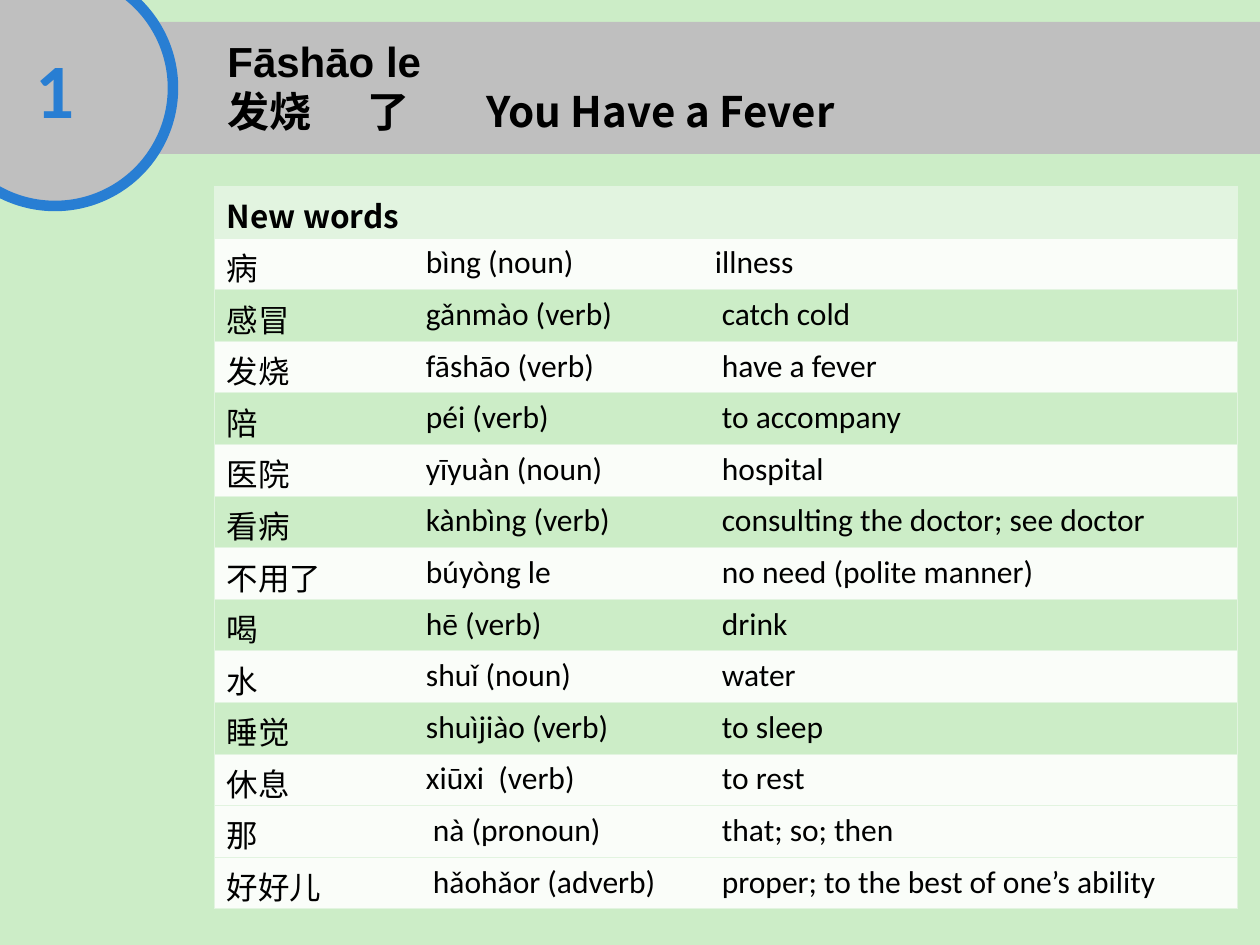
from lxml.etree import SubElement
from pptx import Presentation
from pptx.dml.color import RGBColor
from pptx.enum.shapes import MSO_SHAPE
from pptx.enum.text import MSO_ANCHOR, PP_ALIGN
from pptx.oxml.ns import qn
from pptx.util import Pt

PX = 914400 // 126
NO_GRID_STYLE = "{2D5ABB26-0587-4C30-8999-92F81FD0307C}"
COLORS = {
    "page": "CCEDC7",
    "band": "BFBFBF",
    "ring": "287ED3",
    "header": "E2F4E0",
    "light": "FAFDF9",
    "text": "000000",
}
HAN_FONT = "Noto Sans CJK SC"
BODY_FONT = "Calibri"
SPACE = 7  # width of one space in the table text

# Word, spaces before the pinyin, pinyin, spaces before the meaning, meaning
WORDS = [
    ("病", 1, "bìng (noun)", 0, "illness"),
    ("感冒", 1, "gǎnmào (verb)", 1, "catch cold"),
    ("发烧", 1, "fāshāo (verb)", 1, "have a fever"),
    ("陪", 1, "péi (verb)", 1, "to accompany"),
    ("医院", 1, "yīyuàn (noun)", 1, "hospital"),
    ("看病", 1, "kànbìng (verb)", 1, "consulting the doctor; see doctor"),
    ("不用了", 1, "búyòng le", 1, "no need (polite manner)"),
    ("喝", 1, "hē (verb)", 1, "drink"),
    ("水", 1, "shuǐ (noun)", 1, "water"),
    ("睡觉", 1, "shuìjiào (verb)", 1, "to sleep"),
    ("休息", 1, "xiūxi  (verb)", 1, "to rest"),
    ("那", 2, "nà (pronoun)", 1, "that; so; then"),
    ("好好儿", 2, "hǎohǎor (adverb)", 1, "proper; to the best of one’s ability"),
]
LAST_BANDED_ROW = 10


def rgb(name):
    return RGBColor.from_string(COLORS[name])


class LessonSlide:
    def __init__(self, deck):
        self.page = deck.slides.add_slide(deck.slide_layouts[6])
        self.page.background.fill.solid()
        self.page.background.fill.fore_color.rgb = rgb("page")

    def style(self, para, size, font, bold=False, color="text"):
        for span in para.runs:
            span.font.size = Pt(size)
            span.font.name = font
            span.font.bold = bold
            span.font.color.rgb = rgb(color)
            if font == HAN_FONT:
                properties = span.font._element
                SubElement(properties, qn("a:ea"), typeface=font)

    def shape(self, kind, bounds, fill, line=None, line_width=0):
        shape = self.page.shapes.add_shape(kind, *[n * PX for n in bounds])
        shape.shadow.inherit = False
        shape.fill.solid()
        shape.fill.fore_color.rgb = rgb(fill)
        if line:
            shape.line.color.rgb = rgb(line)
            shape.line.width = Pt(line_width)
        else:
            shape.line.fill.background()
        return shape

    def number(self, shape, text):
        shape.text_frame.text = text
        shape.text_frame.vertical_anchor = MSO_ANCHOR.MIDDLE
        para = shape.text_frame.paragraphs[0]
        para.alignment = PP_ALIGN.CENTER
        self.style(para, 44, BODY_FONT, True, "ring")

    def title(self, bounds, lines, tab_stops):
        box = self.page.shapes.add_textbox(*[n * PX for n in bounds])
        frame = box.text_frame
        frame.word_wrap = True
        frame.text = "\n".join(text for text, font in lines)
        for para, (text, font) in zip(frame.paragraphs, lines):
            tabs = SubElement(para._p.get_or_add_pPr(), qn("a:tabLst"))
            for stop in tab_stops:
                SubElement(tabs, qn("a:tab"), pos=str(stop * PX), algn="l")
            self.style(para, 24, font, True)

    def table(self, bounds, widths, header_height, row_count):
        left, top, width, height = [n * PX for n in bounds]
        frame = self.page.shapes.add_table(row_count, len(widths), left, top, width, height)
        table = frame.table
        table.first_row = table.horz_banding = False
        table._tbl.tblPr.find(qn("a:tableStyleId")).text = NO_GRID_STYLE
        for column, column_width in zip(table.columns, widths):
            column.width = column_width * PX
        body_height = (height - header_height * PX) // (row_count - 1)
        for index, row in enumerate(table.rows):
            row.height = body_height if index else header_height * PX
        return table

    def cell(self, cell, text, fill, sides, indent=0, font=BODY_FONT, bold=False):
        cell.margin_left = (13 + indent) * PX
        cell.margin_top = 6 * PX
        cell.margin_bottom = 0
        for side in sides:
            line = SubElement(cell._tc.get_or_add_tcPr(), qn("a:ln" + side), w=str(Pt(0.45)))
            color = SubElement(SubElement(line, qn("a:solidFill")), qn("a:srgbClr"))
            color.set("val", COLORS["header"])
        cell.fill.solid()
        cell.fill.fore_color.rgb = rgb(fill)
        cell.text_frame.text = text
        self.style(cell.text_frame.paragraphs[0], 18, font, bold)


def main():
    deck = Presentation()
    deck.slide_width = 1260 * PX
    deck.slide_height = 945 * PX
    slide = LessonSlide(deck)

    # Title band and lesson number
    slide.shape(MSO_SHAPE.RECTANGLE, (108, 22, 1152, 132), "band")
    circle = slide.shape(MSO_SHAPE.OVAL, (-63, -30, 236, 236), "band", "ring", 6)
    slide.number(circle, "1")

    # Vocabulary table
    table = slide.table((214, 186, 1023, 708), (192, 296, 535), 52, len(WORDS) + 1)
    sides = ("LTB", "TB", "RTB")
    table.cell(0, 0).merge(table.cell(0, 1))
    for column, text in enumerate(("New words", "", "")):
        slide.cell(table.cell(0, column), text, "header", sides[column], 0, HAN_FONT, True)
    for row, (word, gap, pinyin, meaning_gap, meaning) in enumerate(WORDS, start=1):
        fill = "page" if row % 2 == 0 and row <= LAST_BANDED_ROW else "light"
        entries = ((word, 0), (pinyin, gap), (meaning, meaning_gap))
        for column, (text, spaces) in enumerate(entries):
            slide.cell(table.cell(row, column), text, fill, sides[column], spaces * SPACE)

    # Lesson title
    lines = [("Fāshāo le", "Arial"), ("发烧\t了\tYou Have a Fever", HAN_FONT)]
    slide.title((215, 29, 762, 113), lines, (140, 259))

    deck.save("out.pptx")


if __name__ == "__main__":
    main()
